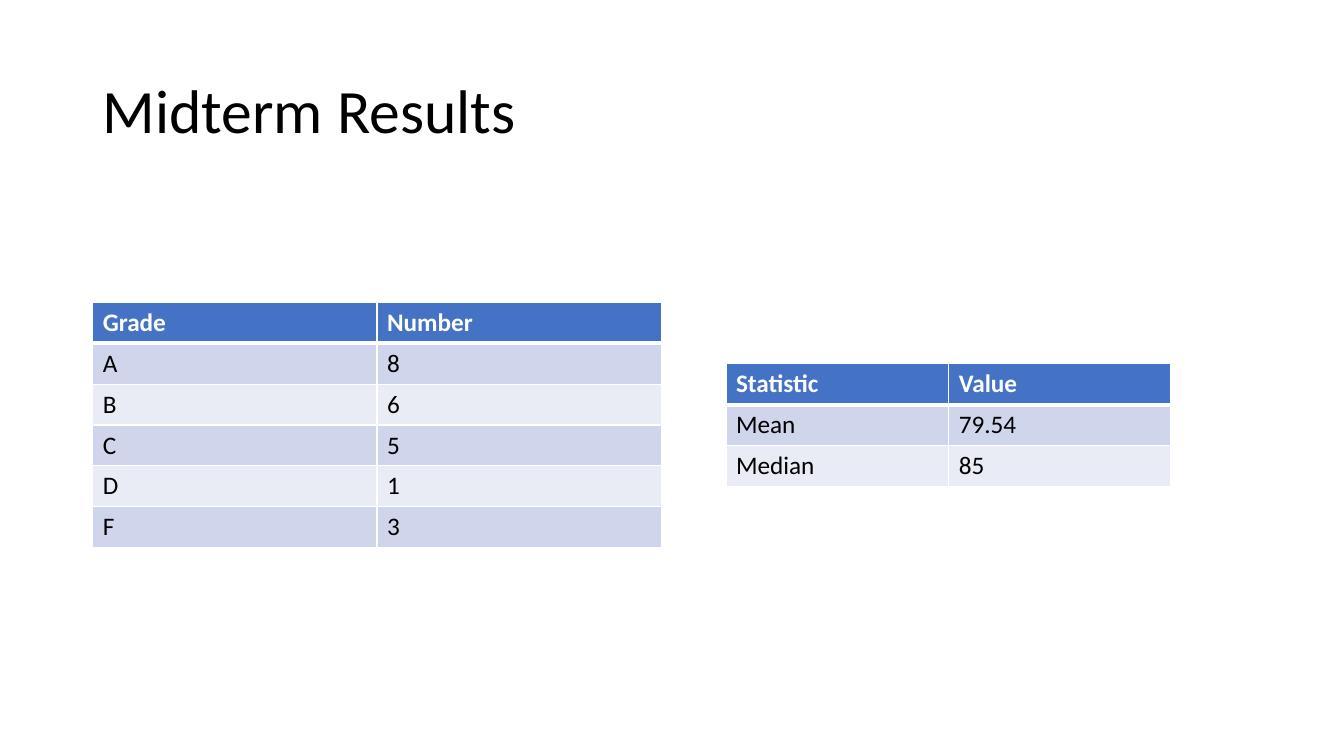
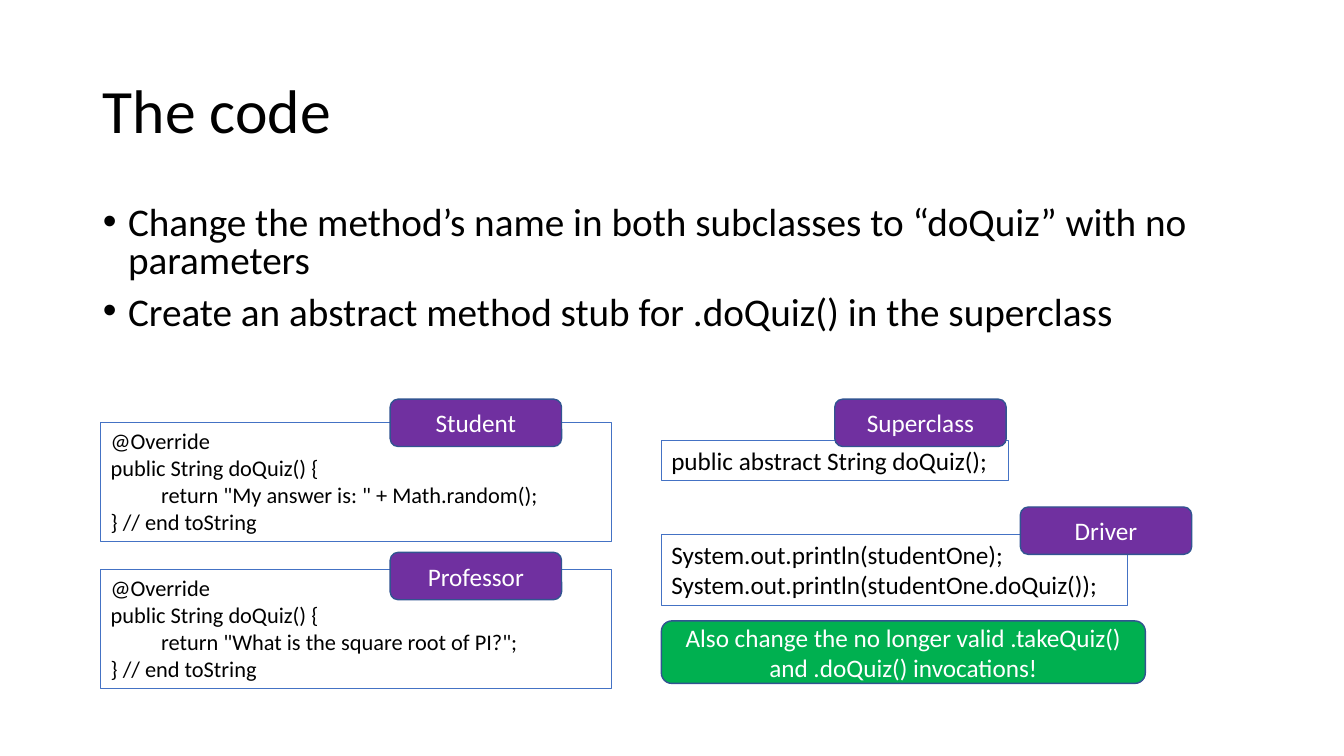
from lxml import etree
from pptx import Presentation
from pptx.dml.color import RGBColor
from pptx.enum.shapes import MSO_SHAPE
from pptx.enum.text import MSO_ANCHOR, MSO_AUTO_SIZE, PP_ALIGN
from pptx.oxml.ns import qn
from pptx.util import Emu, Pt

ROUNDED = MSO_SHAPE.ROUNDED_RECTANGLE
LEFT, CENTER = PP_ALIGN.LEFT, PP_ALIGN.CENTER
TOP, MIDDLE = MSO_ANCHOR.TOP, MSO_ANCHOR.MIDDLE
FIXED, GROW = MSO_AUTO_SIZE.NONE, MSO_AUTO_SIZE.SHAPE_TO_FIT_TEXT

# Shared look; 100 px make one inch
PX = 9144
FONT = "Calibri"
COLORS = {
    "text": "000000", "white": "FFFFFF", "header": "4472C4",
    "band_dark": "CFD5EA", "band_light": "E9EBF5",
    "tag": "7030A0", "note": "00B050", "edge": "325491",
}
TITLE_BOX = (92, 40, 1150, 145)
BODY_BOX = (92, 200, 1150, 145)
ROW_HEIGHT = 40.5
TITLE_ONLY, TITLE_AND_BODY = 5, 1

# Slide 1: left, top, column widths, rows
RESULTS_TITLE = "Midterm Results"
TABLES = [
    (92, 300, (282, 282),
     [("Grade", "Number"), ("A", "8"), ("B", "6"), ("C", "5"), ("D", "1"), ("F", "3")]),
    (720, 361, (221, 220),
     [("Statistic", "Value"), ("Mean", "79.54"), ("Median", "85")]),
]

# Slide 2: code lines starting with a tab are indented
CODE_TITLE = "The code"
BULLETS = [
    "Change the method’s name in both subclasses to “doQuiz” with no parameters",
    "Create an abstract method stub for .doQuiz() in the superclass",
]


def quiz_method(answer):
    return ["@Override", "public String doQuiz() {", f"\treturn {answer};", "} // end toString"]


# Tag, tag left and top, code box, text size, code lines
TAG_SIZE = (170, 47)
CODE_BLOCKS = [
    ("Superclass", (828, 396), (656, 437, 344, 40), 18, ["public abstract String doQuiz();"]),
    ("Student", (387, 396), (100, 419, 507, 118), 16,
     quiz_method('"My answer is: " + Math.random()')),
    ("Professor", (387, 548), (100, 565, 507, 118), 16,
     quiz_method('"What is the square root of PI?"')),
    ("Driver", (1012, 503), (656, 530, 462, 71), 18,
     ["System.out.println(studentOne);", "System.out.println(studentOne.doQuiz());"]),
]
NOTE = "Also change the no longer valid .takeQuiz() and .doQuiz() invocations!"
NOTE_BOX = (656, 616, 480, 62)


def px(*lengths):
    return [Emu(round(length * PX)) for length in lengths]


def color(name):
    return RGBColor.from_string(COLORS[name])


def place(shape, box):
    shape.left, shape.top, shape.width, shape.height = px(*box)


def add_run(para, text, size, ink="text", bold=False):
    span = para.add_run()
    span.text = text
    span.font.name, span.font.size, span.font.bold = FONT, Pt(size), bold
    span.font.color.rgb = color(ink)


def set_indent(para, margin, first=0):
    properties = para._p.get_or_add_pPr()
    properties.set("marL", str(margin * PX))
    properties.set("indent", str(first * PX))


def write(frame, lines, size, ink="text", align=LEFT, anchor=TOP, fit=FIXED):
    frame.word_wrap, frame.auto_size, frame.vertical_anchor = True, fit, anchor
    for index, line in enumerate(lines):
        para = frame.add_paragraph() if index else frame.paragraphs[0]
        para.alignment = align
        if line.startswith("\t"):
            set_indent(para, 50)
        add_run(para, line.strip(), size, ink)
    return frame.paragraphs


def add_titled_slide(deck, layout, title):
    page = deck.slides.add_slide(deck.slide_layouts[layout])
    place(page.shapes.title, TITLE_BOX)
    for para in write(page.shapes.title.text_frame, [title], 44, anchor=MIDDLE):
        para.line_spacing = 0.9
    return page


def add_borders(cell, top, bottom):
    properties = cell._tc.get_or_add_tcPr()
    sides = [("a:lnL", 1), ("a:lnR", 1), ("a:lnT", top), ("a:lnB", bottom)]
    for index, (tag, points) in enumerate(sides):
        line = etree.Element(qn(tag), w=str(Pt(points)))
        fill = etree.SubElement(line, qn("a:solidFill"))
        etree.SubElement(fill, qn("a:srgbClr"), val=COLORS["white"])
        properties.insert(index, line)


def add_table(page, left, top, widths, rows):
    box = px(left, top, sum(widths), ROW_HEIGHT * len(rows))
    table = page.shapes.add_table(len(rows), len(widths), *box).table
    for column, width in zip(table.columns, px(*widths)):
        column.width = width
    for row, values in enumerate(rows):
        table.rows[row].height = px(ROW_HEIGHT)[0]
        header = row == 0
        fill = "header" if header else ("band_light", "band_dark")[row % 2]
        for column, value in enumerate(values):
            cell = table.cell(row, column)
            cell.fill.solid()
            cell.fill.fore_color.rgb = color(fill)
            add_borders(cell, 3 if row == 1 else 1, 3 if header else 1)
            add_run(cell.text_frame.paragraphs[0], value, 18,
                    "white" if header else "text", header)


def add_bullets(page, lines):
    body = page.placeholders[1]
    place(body, BODY_BOX)
    for para in write(body.text_frame, lines, 28):
        para.line_spacing, para.space_before = 0.8, Pt(10)
        set_indent(para, 25, -25)
        properties = para._p.get_or_add_pPr()
        etree.SubElement(properties, qn("a:buFont"), typeface="Arial")
        etree.SubElement(properties, qn("a:buChar"), char="•")


def add_code(page, box, size, lines):
    shape = page.shapes.add_textbox(*px(*box))
    shape.line.color.rgb, shape.line.width = color("header"), Pt(0.75)
    write(shape.text_frame, lines, size, fit=GROW)


def add_label(page, box, text, fill):
    shape = page.shapes.add_shape(ROUNDED, *px(*box))
    shape.shadow.inherit = False
    shape.fill.solid()
    shape.fill.fore_color.rgb = color(fill)
    shape.line.color.rgb, shape.line.width = color("edge"), Pt(1)
    write(shape.text_frame, [text], 18, "white", CENTER, MIDDLE)


def main():
    deck = Presentation()
    deck.slide_width, deck.slide_height = px(1333, 750)

    # Results tables
    page = add_titled_slide(deck, TITLE_ONLY, RESULTS_TITLE)
    for table in TABLES:
        add_table(page, *table)

    # Code boxes with their tags
    page = add_titled_slide(deck, TITLE_AND_BODY, CODE_TITLE)
    add_bullets(page, BULLETS)
    for tag, corner, box, size, lines in CODE_BLOCKS:
        add_code(page, box, size, lines)
        add_label(page, corner + TAG_SIZE, tag, "tag")
    add_label(page, NOTE_BOX, NOTE, "note")

    deck.save("out.pptx")


if __name__ == "__main__":
    main()
